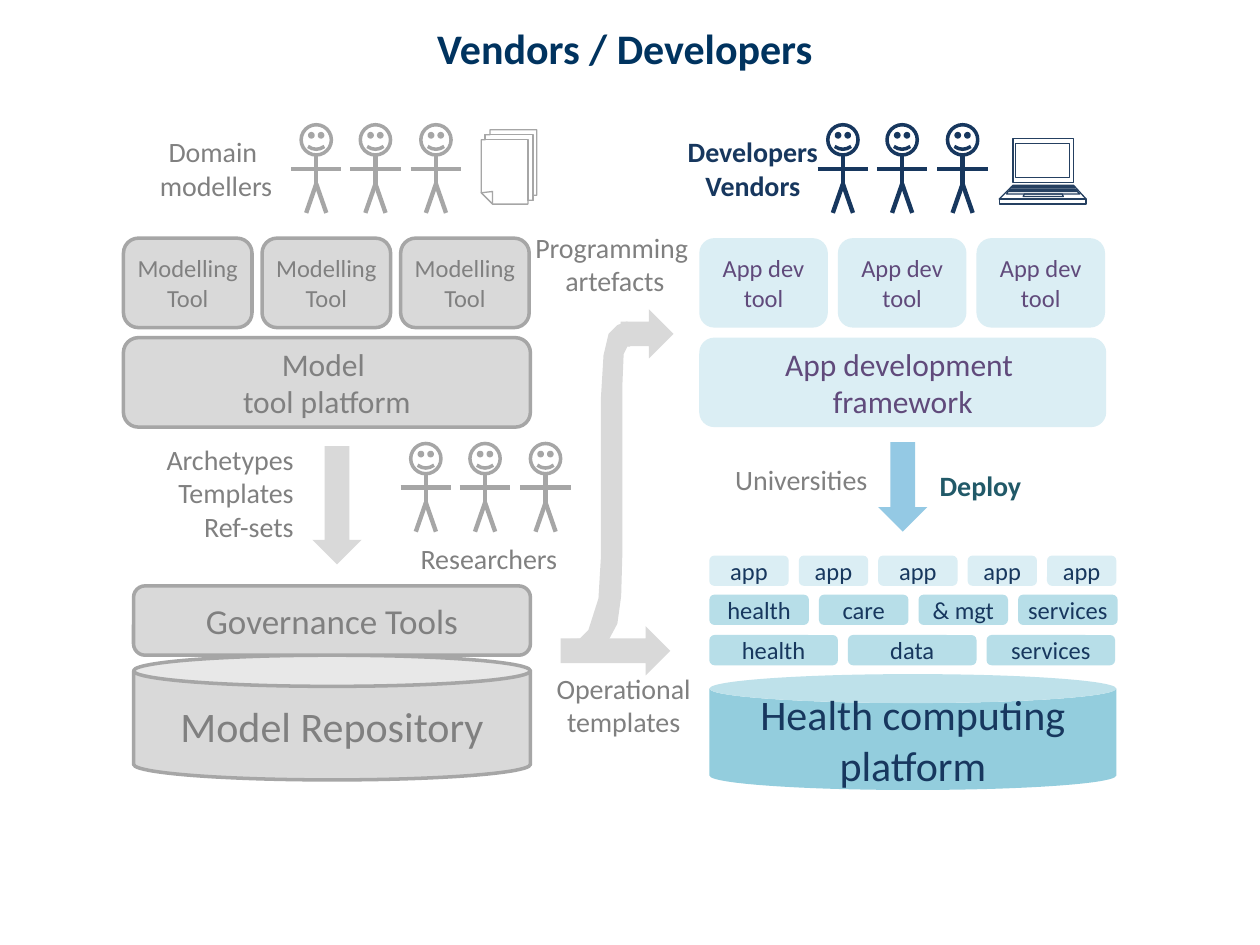
from pptx import Presentation
from pptx.dml.color import RGBColor
from pptx.enum.shapes import MSO_CONNECTOR, MSO_SHAPE
from pptx.enum.text import MSO_ANCHOR, MSO_AUTO_SIZE, PP_ALIGN
from pptx.oxml.ns import qn
from pptx.util import Inches, Pt
from lxml.etree import SubElement

GREY, EDGE, DIM = "D9D9D9", "A6A6A6", "808080"
NAVY, PURPLE, WHITE = "17375E", "604A7B", "FFFFFF"
PALE, AQUA = "DBEEF4", "B7DEE8"
GAP = 0.08


def color(code):
    return RGBColor.from_string(code)


class Board:
    font = "Calibri"

    def __init__(self, deck):
        self.slide = deck.slides.add_slide(deck.slide_layouts[5])
        self.shapes = self.slide.shapes

    def letter(self, frame, text, size, ink, bold=False,
               align=PP_ALIGN.CENTER):
        frame.text = text
        for par in frame.paragraphs:
            par.alignment = align
            par.font.name = self.font
            par.font.size = Pt(size)
            par.font.bold = bold
            par.font.color.rgb = color(ink)

    def paint(self, shape, fill, edge=None, width=2):
        shape.shadow.inherit = False
        shape.fill.solid()
        shape.fill.fore_color.rgb = color(fill)
        if edge:
            shape.line.color.rgb = color(edge)
            shape.line.width = Pt(width)
        else:
            shape.line.fill.background()

    def title(self, text, *box):
        head = self.shapes.title
        head.left, head.top, head.width, head.height = map(Inches, box)
        head.text_frame.vertical_anchor = MSO_ANCHOR.TOP
        self.letter(head.text_frame, text, 24, "00335F", True)

    def shape(self, kind, box, fill, edge=None):
        item = self.shapes.add_shape(kind, *map(Inches, box))
        self.paint(item, fill, edge)
        return item

    def block(self, text, box, fill, ink, size, edge=None, pad=None,
              kind=MSO_SHAPE.ROUNDED_RECTANGLE):
        frame = self.shape(kind, box, fill, edge).text_frame
        frame.word_wrap = True
        frame.vertical_anchor = MSO_ANCHOR.MIDDLE
        if pad:
            frame.margin_left = frame.margin_right = Inches(pad)
            frame.margin_top = frame.margin_bottom = Inches(pad)
        self.letter(frame, text, size, ink)

    def row(self, items, left, top, height, gap, *style, **more):
        for text, width in items:
            self.block(text, (left, top, width, height), *style, **more)
            left += width + gap

    def label(self, text, box, ink=DIM, bold=False, align=PP_ALIGN.CENTER):
        frame = self.shapes.add_textbox(*map(Inches, box)).text_frame
        frame.word_wrap = False
        frame.auto_size = MSO_AUTO_SIZE.SHAPE_TO_FIT_TEXT
        self.letter(frame, text, 16, ink, bold, align)

    def arrow(self, box, fill=GREY, turn=0):
        self.shape(MSO_SHAPE.DOWN_ARROW, box, fill).rotation = turn

    def line(self, ends, ink, width):
        item = self.shapes.add_connector(
            MSO_CONNECTOR.STRAIGHT, *map(Inches, ends))
        item.line.color.rgb = color(ink)
        item.line.width = Pt(width)
        SubElement(item._element.spPr, qn("a:effectLst"))

    def outline(self, loops, fill, edge=None):
        loops = [[(Inches(x), Inches(y)) for x, y in loop] for loop in loops]
        pen = self.shapes.build_freeform(*loops[0][0])
        for loop in loops:
            if loop is not loops[0]:
                pen.move_to(*loop[0])
            pen.add_line_segments(loop[1:], close=True)
        self.paint(pen.convert_to_shape(), fill, edge, 0.75)

    def person(self, x, top, ink):
        head = (x - 0.12, top, 0.24, 0.24)
        self.shape(MSO_SHAPE.SMILEY_FACE, head, WHITE, ink)
        hip, foot, arm = top + 0.47, top + 0.7, top + 0.35
        for ends in ((x, top + 0.24, x, top + 0.48),
                     (x, hip, x + 0.08, foot),
                     (x, hip, x - 0.08, foot),
                     (x - 0.2, arm, x + 0.2, arm)):
            self.line(ends, ink, 2.5)

    def crowd(self, x, top, ink):
        for step in (0, 0.47, 0.95):
            self.person(x + step, top, ink)


deck = Presentation()
deck.slide_width, deck.slide_height = Inches(10), Inches(7.5)
board = Board(deck)
board.title("Vendors / Developers", 1.06, 0.13, 7.8, 0.5)

# Modelling side
board.block("Model \vtool platform", (0.98, 2.68, 3.23, 0.71),
            GREY, DIM, 18, EDGE)
board.row([("Modelling Tool", 1.02)] * 3, 0.98, 1.89, 0.71, GAP,
          GREY, DIM, 14, EDGE, 0.04)
board.arrow((2.48, 3.54, 0.39, 0.94))
board.label("Archetypes \vTemplates \vRef-sets ", (1.2, 3.46, 1.28, 0.91),
            align=PP_ALIGN.RIGHT)
board.block("Model Repository", (1.06, 5.2, 3.15, 0.99), GREY, DIM, 24, EDGE,
            kind=MSO_SHAPE.CAN)
board.block("Governance Tools", (1.06, 4.65, 3.15, 0.55),
            GREY, DIM, 20, EDGE, 0.04)

# Deploy step
board.arrow((6.97, 3.51, 0.39, 0.71), "94C9E4")
board.label("Deploy", (7.36, 3.67, 0.86, 0.37), "215968", True, PP_ALIGN.LEFT)

# Branching flow between the two sides
board.arrow((4.94, 2.44, 0.39, 0.42), turn=270)
board.arrow((4.69, 4.73, 0.39, 0.87), turn=270)
board.outline([[
    (4.53, 5.07), (4.6, 5.07), (4.67, 5), (4.75, 4.75), (4.77, 4.41),
    (4.77, 3.15), (4.79, 2.82), (4.83, 2.65), (4.9, 2.58), (4.98, 2.55),
    (4.98, 2.75), (4.95, 2.81), (4.94, 3.05), (4.94, 4.38), (4.93, 4.73),
    (4.9, 4.95), (4.82, 5.1)]], GREY)
board.line((4.8, 5.13, 4.58, 5.09), GREY, 3)
board.line((4.98, 2.75, 4.99, 2.57), GREY, 3)
board.label("Programming \vartefacts", (4.14, 1.78, 1.48, 0.64))
board.label("Operational\vtemplates", (4.31, 5.28, 1.28, 0.64))

# People
board.label("Domain \vmodellers", (1.16, 1.02, 1.11, 0.64))
board.label("Developers\nVendors", (5.35, 1.02, 1.25, 0.64), NAVY, True)
board.crowd(2.51, 0.99, EDGE)
board.crowd(6.69, 0.99, NAVY)
board.crowd(3.38, 3.52, EDGE)
board.label("Universities", (5.71, 3.62, 1.3, 0.37))
board.label("Researchers", (3.22, 4.25, 1.32, 0.37))

# Laptop: top edge (left, right, y), then bottom edge
bands = [
    (8.04, 8.52, 1.1, 8.04, 8.52, 1.45),
    (8.04, 8.52, 1.47, 7.93, 8.62, 1.58),
    (7.93, 8.62, 1.58, 7.93, 8.62, 1.62),
    (8.06, 8.49, 1.14, 8.06, 8.49, 1.41),
    (8.04, 8.52, 1.48, 8.02, 8.53, 1.49),
    (8.13, 8.43, 1.54, 8.12, 8.44, 1.56),
    (8.02, 8.53, 1.5, 8.01, 8.55, 1.51),
    (8, 8.55, 1.52, 7.99, 8.57, 1.54),
]
board.outline([[(a, y), (b, y), (d, z), (c, z)] for a, b, y, c, d, z in bands],
              WHITE, "254061")

# Stack of pages
board.outline([
    [(3.82, 1.53), (3.82, 1.11), (3.85, 1.11), (3.85, 1.07), (3.89, 1.07),
     (3.89, 1.03), (4.26, 1.03), (4.26, 1.55), (4.23, 1.55), (4.23, 1.59),
     (4.19, 1.59), (4.19, 1.62), (3.91, 1.62)],
    [(3.89, 1.07), (4.23, 1.07), (4.23, 1.59), (4.19, 1.59), (4.19, 1.11),
     (3.85, 1.11), (3.85, 1.07)],
    [(3.82, 1.53), (3.91, 1.52), (3.91, 1.62)]], WHITE, EDGE)

# Application side
board.block("App development \vframework", (5.55, 2.68, 3.23, 0.71),
            PALE, PURPLE, 18)
board.row([("App dev tool", 1.02)] * 3, 5.55, 1.89, 0.71, GAP,
          PALE, PURPLE, 14)
board.row([("health", 1.02), ("data", 1.02), ("services", 1.02)],
          5.63, 5.04, 0.24, GAP, AQUA, NAVY, 14, pad=0.04)
board.row([("health", 0.79), ("care", 0.71), ("& mgt", 0.71),
           ("services", 0.79)], 5.63, 4.72, 0.24, GAP, AQUA, NAVY, 14, pad=0.04)
board.row([("app", width) for width in (0.63, 0.55, 0.63, 0.55, 0.55)],
          5.63, 4.41, 0.24, GAP, PALE, NAVY, 14)
board.block("Health computing platform", (5.63, 5.35, 3.23, 0.92),
            "93CDDD", NAVY, 24, kind=MSO_SHAPE.CAN)

deck.save("out.pptx")
